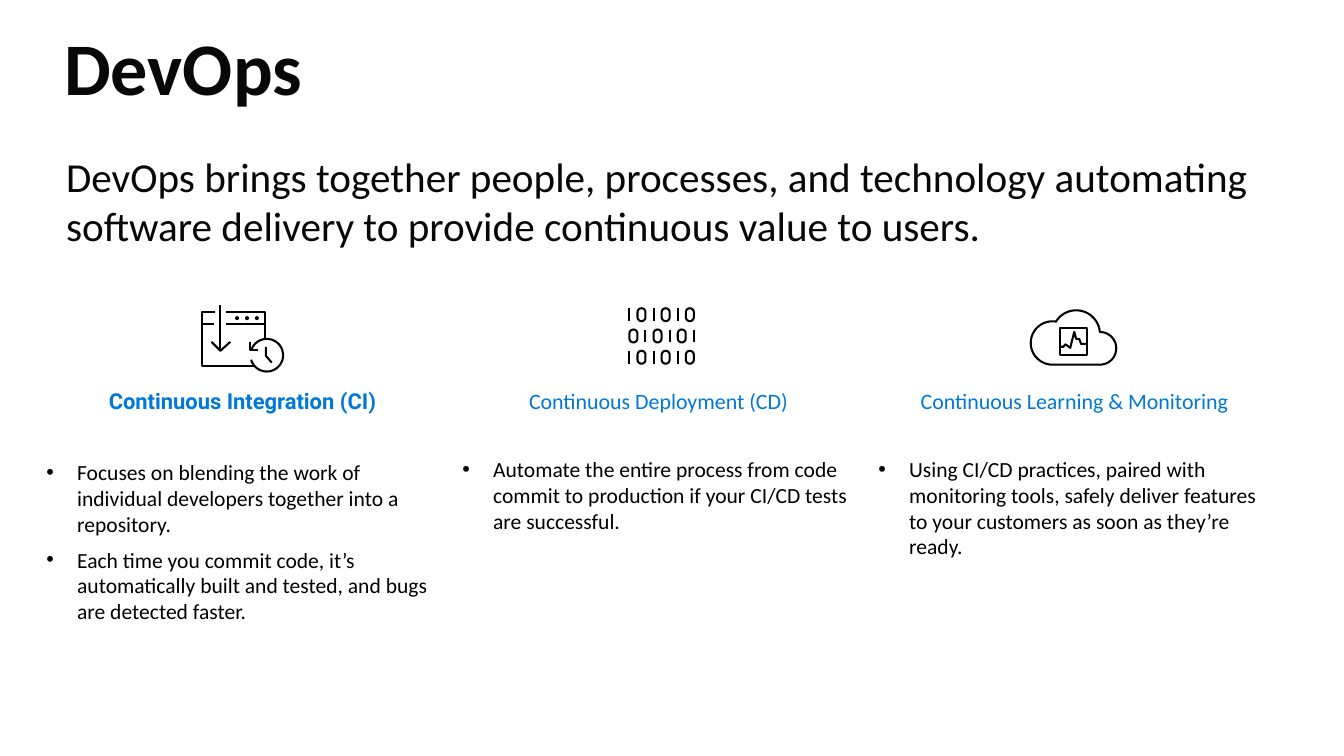
from math import cos, radians, sin

from lxml.etree import SubElement
from pptx import Presentation
from pptx.dml.color import RGBColor as Rgb
from pptx.enum.text import MSO_ANCHOR as Anchor, MSO_AUTO_SIZE as AutoSize, PP_ALIGN as Align
from pptx.oxml.ns import qn
from pptx.util import Pt

COLORS = {"ink": "080808", "text": "000000", "accent": "0078D7", "paper": "FFFFFF"}
BODY_FONT = "Calibri"
COLUMN_LEFT, COLUMN_TOP, COLUMN_PITCH = 33.8, 282.2, 303.1
COLUMN_WIDTH, COLUMN_HEIGHT = 285.8, 205
BULLET_SIZE, BULLET_INDENT, BULLET_GAP = 15.7, 22.4, 7

# heading, heading font, bold, gap below the heading, bullets
COLUMNS = [
    ("Continuous Integration (CI)", "Roboto", True, 33.2,
     ["Focuses on blending the work of individual developers together into a repository.",
      "Each time you commit code, it’s automatically built and tested, and bugs are detected faster."]),
    ("Continuous Deployment (CD)", BODY_FONT, False, 30.7,
     ["Automate the entire process from code commit to production if your CI/CD tests are successful."]),
    ("Continuous Learning & Monitoring", BODY_FONT, False, 30.7,
     ["Using CI/CD practices, paired with monitoring tools, safely deliver features to your customers "
      "as soon as they’re ready."]),
]


def arc(center_x, center_y, radius, start, end, steps=32):
    """Points along an arc; degrees run clockwise from the right."""
    angles = [radians(start + (end - start) * step / steps) for step in range(steps + 1)]
    return [(center_x + radius * cos(a), center_y + radius * sin(a)) for a in angles]


class DevOpsSlide:
    def __init__(self, deck):
        self.slide = deck.slides.add_slide(deck.slide_layouts.get_by_name("Comparison"))
        self.bodies = iter(list(self.slide.placeholders)[1:])

    def place(self, holder, left, top, width, height, margins=(0, 0)):
        """Moves a placeholder and returns its top-anchored text frame."""
        holder.left, holder.top, holder.width, holder.height = map(Pt, (left, top, width, height))
        frame = holder.text_frame
        frame.margin_left = frame.margin_right = Pt(margins[0])
        frame.margin_top = frame.margin_bottom = Pt(margins[1])
        frame.word_wrap, frame.auto_size = True, AutoSize.NONE
        frame.vertical_anchor = Anchor.TOP
        return frame

    def set_text(self, paragraph, text, size, color, font=BODY_FONT, bold=False,
                 align=Align.LEFT, before=0, indent=0, bullet=False, spacing=1.0):
        paragraph.text = text
        properties = paragraph._p.get_or_add_pPr()
        properties.set("marL", str(Pt(indent)))
        properties.set("indent", str(-Pt(indent) if bullet else 0))
        if bullet:
            bullet_color = SubElement(properties, qn("a:buClr"))
            SubElement(bullet_color, qn("a:srgbClr"), val=COLORS["text"])
            SubElement(properties, qn("a:buFont"), typeface="Arial")
            SubElement(properties, qn("a:buChar"), char="•")
        else:
            SubElement(properties, qn("a:buNone"))
        paragraph.alignment, paragraph.line_spacing = align, spacing
        paragraph.space_before, paragraph.space_after = Pt(before), Pt(0)
        for run in paragraph.runs:
            run.font.name, run.font.size, run.font.bold = font, Pt(size), bold
            run.font.color.rgb = Rgb.from_string(COLORS[color])

    def title(self, text):
        frame = self.place(self.slide.shapes.title, 39.6, 19.4, 936, 81.4, (7.2, 3.6))
        self.set_text(frame.paragraphs[0], text, 54, "ink", bold=True, align=Align.JUSTIFY, spacing=0.9)

    def intro(self, text):
        frame = self.place(next(self.bodies), 36, 106.6, 931, 43.9, (7.2, 3.6))
        self.set_text(frame.paragraphs[0], text, 30, "ink", indent=5)

    def column(self, left, heading, font, bold, gap, bullets):
        frame = self.place(next(self.bodies), left, COLUMN_TOP, COLUMN_WIDTH, COLUMN_HEIGHT)
        self.set_text(frame.paragraphs[0], heading, 16, "accent", font, bold, Align.CENTER)
        for index, item in enumerate(bullets):
            self.set_text(frame.add_paragraph(), item, BULLET_SIZE, "text", indent=BULLET_INDENT,
                          before=BULLET_GAP if index else gap, bullet=True)

    def icon(self, left, top, strokes, fill=None):
        """Draws strokes, lists of points relative to left and top, as one outline."""
        strokes = [[(Pt(left + x), Pt(top + y)) for x, y in stroke] for stroke in strokes]
        builder = self.slide.shapes.build_freeform(*strokes[0][0])
        for index, stroke in enumerate(strokes):
            if index:
                builder.move_to(*stroke[0])
            builder.add_line_segments(stroke[1:], close=stroke[0] == stroke[-1])
        outline = builder.convert_to_shape()
        outline.shadow.inherit = False
        if fill:
            outline.fill.solid()
            outline.fill.fore_color.rgb = Rgb.from_string(COLORS[fill])
        else:
            outline.fill.background()
        outline.line.width = Pt(1.5)
        outline.line.color.rgb = Rgb.from_string(COLORS["text"])


def draw_integration(page):
    window = [
        [(18, 0), (46.1, 0), (46.1, 38.9), (0, 38.9), (0, 0), (10, 0)],
        [(18, 8.6), (46.1, 8.6)],
        [(0, 8.6), (9.4, 8.6)],
        [(7.2, 21.6), (13.7, 28.1), (20.9, 21.6)],
        [(13.7, -5), (13.7, 28.1)],
    ]
    window += [arc(25.9 + 7.2 * dot, 4.3, 0.7, 0, 360, 12) for dot in range(3)]
    page.icon(146.9, 227.5, window, "paper")
    clock = [
        arc(0, 0, 11.9, 164, -161),
        [(-0.7, -6.1), (-0.7, 0.4), (3.6, 5.4)],
        [(-12.2, -9.7), (-12.2, -4), (-6.5, -4)],
    ]
    page.icon(194.4, 258.8, clock, "paper")


def draw_deployment(page):
    height, radius, row_pitch = 9.4, 2.9, 15.5
    advance = {"1": 5.9, "0": 11.7}
    digits = []
    for row, bits in enumerate(("101010", "010101", "101010")):
        x, y = 0, row * row_pitch
        for bit in bits:
            if bit == "1":
                digits.append([(x, y), (x, y + height)])
            else:
                ring = arc(x + radius, y + radius, radius, 180, 360, 12)
                ring += arc(x + radius, y + height - radius, radius, 0, 180, 12)
                digits.append(ring + ring[:1])
            x += advance[bit]
    page.icon(458.6, 224.6, digits)


def draw_monitoring(page):
    left, top = 751, 226.1
    cloud = arc(15.8, 23.8, 15.8, 90, 280) + arc(33.1, 17.3, 17.3, 213, 355)
    cloud += arc(50.4, 27.7, 11.9, -90, 90)
    page.icon(left, top, [cloud + cloud[:1]])
    screen = [(21.6, 32.4), (21.6, 13), (41, 13), (41, 32.4), (21.6, 32.4)]
    pulse = [(41, 24.5), (36.7, 24.5), (35.3, 20.9), (33.1, 20.9), (31.7, 15.8),
             (28.8, 27.4), (25.9, 25.2), (25.2, 24.8), (23.8, 26.6), (21.6, 26.6)]
    page.icon(left, top, [screen, pulse])


def main():
    deck = Presentation()
    deck.slide_width, deck.slide_height = Pt(979.2), Pt(550.8)
    page = DevOpsSlide(deck)
    page.title("DevOps")
    page.intro("DevOps brings together people, processes, and technology automating "
               "software delivery to provide continuous value to users.")
    for index, content in enumerate(COLUMNS):
        page.column(COLUMN_LEFT + index * COLUMN_PITCH, *content)
    draw_integration(page)
    draw_deployment(page)
    draw_monitoring(page)
    deck.save("out.pptx")


if __name__ == "__main__":
    main()
